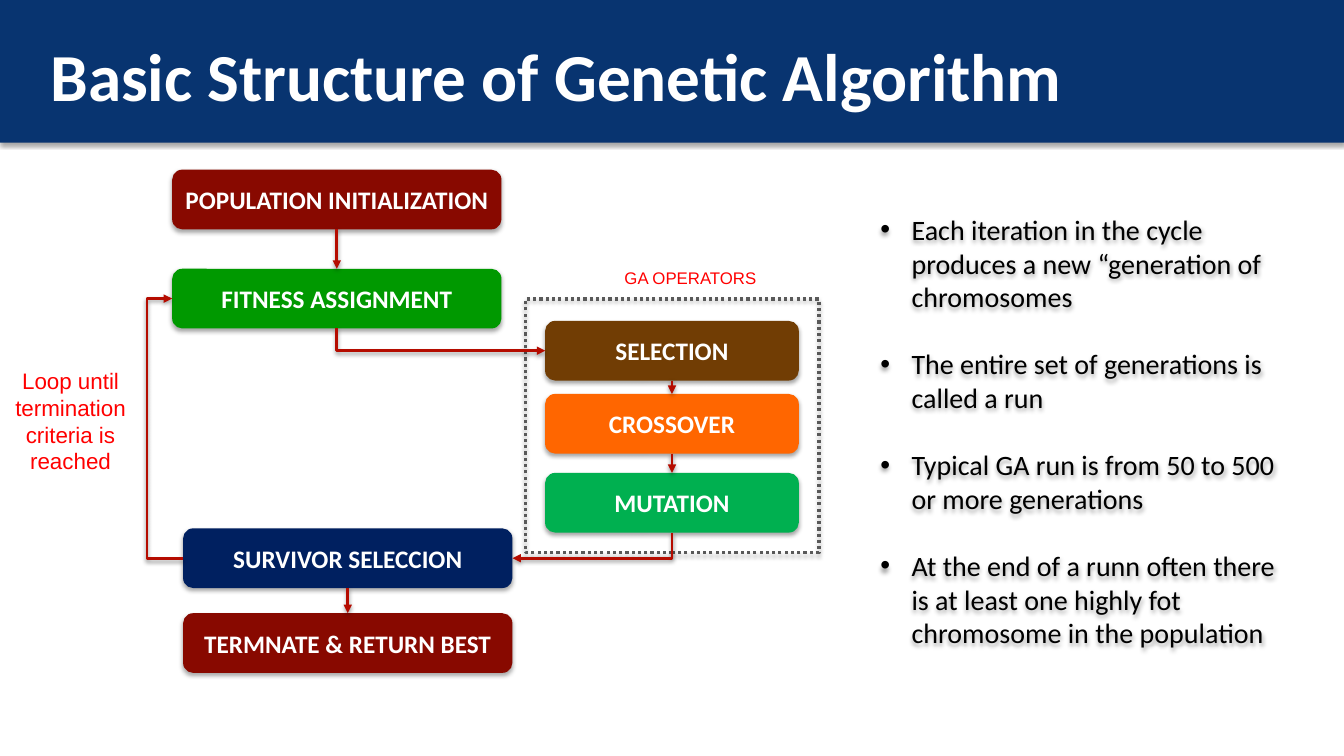
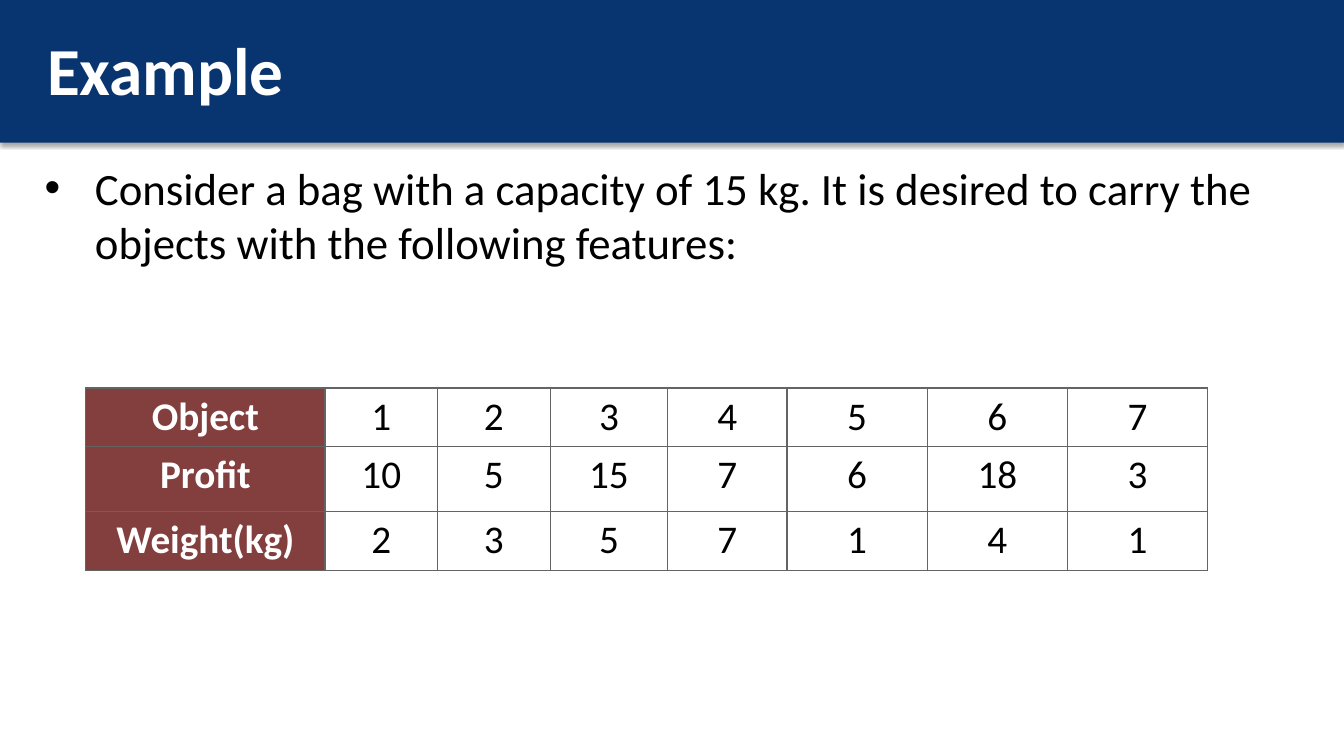
from dataclasses import dataclass
from typing import Optional

from lxml import etree
from pptx import Presentation
from pptx import util as u
from pptx.dml.color import RGBColor
from pptx.enum import dml, shapes, text
from pptx.oxml.ns import qn

COLS, ROWS = 160, 90
WIDE, HIGH = u.Inches(13.333), u.Inches(7.5)
HUES = {
    "band": "083470", "white": "FFFFFF", "black": "000000", "red": "FF0000",
    "wine": "880900", "green": "009900", "navy": "002060", "brown": "713D04",
    "orange": "FF6600", "mint": "00B050", "dots": "595959", "arrow": "B50C00",
    "head": "833E3E", "grid": "646464",
}
MID, LEFT = text.PP_ALIGN.CENTER, text.PP_ALIGN.LEFT


@dataclass(frozen=True)
class Box:
    x: float
    y: float
    w: float
    h: float

    def area(self) -> tuple:
        return across(self.x), down(self.y), across(self.w), down(self.h)

    def side(self, name: str) -> tuple:
        cx, cy = self.x + self.w / 2, self.y + self.h / 2
        return {"top": (cx, self.y), "bottom": (cx, self.y + self.h),
                "left": (self.x, cy), "right": (self.x + self.w, cy)}[name]


@dataclass(frozen=True)
class Node:
    label: str
    hue: str
    box: Box


@dataclass(frozen=True)
class Link:
    start: str
    out: str
    end: str
    into: str
    lane: Optional[float] = None


@dataclass(frozen=True)
class Style:
    size: float
    hue: str = "black"
    bold: bool = False
    font: str = "Calibri"
    align: object = LEFT


TITLE = Style(48, "white", True)
NODE = Style(18, "white", True, align=MID)
HEAD = Style(28, "white", True, align=MID)
CELL = Style(28, align=MID)

BIG, SMALL, TALL = 39.2, 30.2, 7.1
NODES = {
    "init": Node("POPULATION INITIALIZATION", "wine", Box(20.5, 20.2, BIG, TALL)),
    "fit": Node("FITNESS ASSIGNMENT", "green", Box(20.5, 32, BIG, TALL)),
    "done": Node("TERMNATE & RETURN BEST", "wine", Box(21.8, 73, BIG, TALL)),
    "keep": Node("SURVIVOR SELECCION", "navy", Box(21.8, 62.9, BIG, TALL)),
    "pick": Node("SELECTION", "brown", Box(64.9, 38.2, SMALL, TALL)),
    "cross": Node("CROSSOVER", "orange", Box(64.9, 46.9, SMALL, TALL)),
    "mute": Node("MUTATION", "mint", Box(64.9, 56.3, SMALL, TALL)),
}
LINKS = [
    Link("init", "bottom", "fit", "top"),
    Link("fit", "bottom", "pick", "left"),
    Link("pick", "bottom", "cross", "top"),
    Link("cross", "bottom", "mute", "top"),
    Link("mute", "bottom", "keep", "right"),
    Link("keep", "bottom", "done", "top"),
    Link("keep", "left", "fit", "left", 17.5),
]
POINTS = [
    "Each iteration in the cycle produces a new “generation of chromosomes",
    "The entire set of generations is called a run",
    "Typical GA run is from 50 to 500 or more generations",
    "At the end of a runn often there is at least one highly fot chromosome in the population",
]
TASK = ("Consider a bag with a capacity of 15 kg. It is desired to carry the "
        "objects with the following features:")
TABLE = [
    ("Object", 1, 2, 3, 4, 5, 6, 7),
    ("Profit", 10, 5, 15, 7, 6, 18, 3),
    ("Weight(kg)", 2, 3, 5, 7, 1, 4, 1),
]
SPANS = [28.5, 13.4, 13.4, 14, 14.2, 16.7, 16.7, 16.7]
DEPTHS = [6.8, 7.8, 7]


def across(n: float) -> int:
    return round(WIDE * n / COLS)


def down(n: float) -> int:
    return round(HIGH * n / ROWS)


def paint(hue: str) -> RGBColor:
    return RGBColor.from_string(HUES[hue])


def add(node, tag: str, **attrs):
    return etree.SubElement(node, qn(tag), {k: str(v) for k, v in attrs.items()})


def shade(props, alpha: int = 35, dist: float = 1.8) -> None:
    glow = props.find(qn("a:effectLst"))
    if glow is None:
        glow = add(props, "a:effectLst")
    cast = add(glow, "a:outerShdw", blurRad=u.Pt(3.1), dist=u.Pt(dist),
               dir=5400000, algn="ctr", rotWithShape=0)
    add(add(cast, "a:srgbClr", val=HUES["black"]), "a:alpha", val=alpha * 1000)


def write(para, words: str, style: Style) -> None:
    para.alignment = style.align
    run = para.add_run()
    run.text = words
    run.font.name = style.font
    run.font.size = u.Pt(style.size)
    run.font.bold = style.bold
    run.font.color.rgb = paint(style.hue)


def place(shape, box: Box) -> None:
    shape.left, shape.top, shape.width, shape.height = box.area()


def block(slide, kind, box: Box, hue: Optional[str] = None):
    shape = slide.shapes.add_shape(kind, *box.area())
    if hue:
        shape.fill.solid()
        shape.fill.fore_color.rgb = paint(hue)
    else:
        shape.fill.background()
    shape.line.fill.background()
    shape.shadow.inherit = False
    shade(shape._element.spPr)
    return shape


def label(slide, box: Box, words: str, size: float) -> None:
    frame = slide.shapes.add_textbox(*box.area()).text_frame
    frame.word_wrap = True
    write(frame.paragraphs[0], words, Style(size, "red", font="Arial", align=MID))


def begin(deck, title: str, box: Box):
    slide = deck.slides.add_slide(deck.slide_layouts[1])
    band = block(slide, shapes.MSO_SHAPE.RECTANGLE, Box(0, 0, COLS, 17), "band")
    slide.shapes._spTree.insert(2, band._element)
    head = slide.shapes.title
    place(head, box)
    head.text_frame.auto_size = text.MSO_AUTO_SIZE.NONE
    head.text_frame.vertical_anchor = text.MSO_ANCHOR.MIDDLE
    write(head.text_frame.paragraphs[0], title, TITLE)
    return slide


def listing(slide, box: Box, items: list, size: float, indent: float, gap: float = 0):
    body = slide.placeholders[1]
    place(body, box)
    frame = body.text_frame
    frame.auto_size = text.MSO_AUTO_SIZE.NONE
    for i, item in enumerate(items):
        para = frame.paragraphs[0] if i == 0 else frame.add_paragraph()
        write(para, item, Style(size))
        para.space_before = u.Pt(gap if i else 0)
        props = para._p.get_or_add_pPr()
        props.set("marL", str(u.Inches(indent)))
        props.set("indent", str(-u.Inches(indent)))
    return body


def draw(slide, node: Node) -> None:
    shape = block(slide, shapes.MSO_SHAPE.ROUNDED_RECTANGLE, node.box, node.hue)
    frame = shape.text_frame
    frame.word_wrap = True
    frame.margin_left = frame.margin_right = u.Inches(0.05)
    frame.vertical_anchor = text.MSO_ANCHOR.MIDDLE
    write(frame.paragraphs[0], node.label, NODE)


def join(slide, link: Link) -> None:
    x1, y1 = NODES[link.start].box.side(link.out)
    x2, y2 = NODES[link.end].box.side(link.into)
    x1, x2, y1, y2 = across(x1), across(x2), down(y1), down(y2)
    kind, turn, shape, bend = shapes.MSO_CONNECTOR.STRAIGHT, 0, None, None
    if link.lane is not None:
        kind, turn, shape = shapes.MSO_CONNECTOR.ELBOW, 180, "bentConnector3"
        bend = round((x1 - across(link.lane)) / (x1 - x2) * 100000)
        x1, y1, x2, y2 = x2, y2, x1, y1
    elif link.into in ("left", "right"):
        kind, shape = shapes.MSO_CONNECTOR.ELBOW, "bentConnector2"
        turn = 270 if x2 > x1 else 90
        cx, cy, w, h = (x1 + x2) // 2, (y1 + y2) // 2, y2 - y1, abs(x2 - x1)
        flip = 1 if x2 > x1 else -1
        x1, x2 = cx + flip * w // 2, cx - flip * w // 2
        y1, y2 = cy - h // 2, cy + h // 2
    line = slide.shapes.add_connector(kind, x1, y1, x2, y2)
    line.line.color.rgb = paint("arrow")
    line.line.width = u.Pt(2)
    props = line._element.spPr
    add(props.find(qn("a:ln")), "a:tailEnd", type="triangle")
    if shape:
        props.find(qn("a:xfrm")).set("rot", str(turn * 60000))
        geom = props.find(qn("a:prstGeom"))
        geom.set("prst", shape)
        if bend is not None:
            add(geom.find(qn("a:avLst")), "a:gd", name="adj1", fmla=f"val {bend}")
    shade(props, 38, 1.6)


def edge(cell) -> None:
    props = cell._tc.get_or_add_tcPr()
    for i, tag in enumerate(("a:lnL", "a:lnR", "a:lnT", "a:lnB")):
        line = etree.Element(qn(tag), w=str(u.Pt(1)))
        add(add(line, "a:solidFill"), "a:srgbClr", val=HUES["grid"])
        props.insert(i, line)


def chart(slide, x: float, y: float) -> None:
    box = Box(x, y, sum(SPANS), sum(DEPTHS))
    grid = slide.shapes.add_table(len(TABLE), len(SPANS), *box.area()).table
    grid.first_row = grid.horz_banding = False
    for col, span in zip(grid.columns, SPANS):
        col.width = across(span)
    for r, row in enumerate(TABLE):
        grid.rows[r].height = down(DEPTHS[r])
        for c, value in enumerate(row):
            cell = grid.cell(r, c)
            cell.fill.solid()
            cell.fill.fore_color.rgb = paint("white" if c else "head")
            edge(cell)
            write(cell.text_frame.paragraphs[0], str(value), CELL if c else HEAD)


def cycle(deck) -> None:
    slide = begin(deck, "Basic Structure of Genetic Algorithm", Box(4.8, 1.4, 131.5, 15))
    for node in NODES.values():
        draw(slide, node)
    frame = block(slide, shapes.MSO_SHAPE.RECTANGLE, Box(62.6, 35.6, 34.9, 30.2))
    frame.line.color.rgb = paint("dots")
    frame.line.width = u.Pt(2.25)
    frame.line.dash_style = dml.MSO_LINE.ROUND_DOT
    label(slide, Box(62.6, 31.3, BIG, 3.6), "GA OPERATORS", 12)
    for link in LINKS:
        join(slide, link)
    label(slide, Box(0, 43.1, 16.8, 14.2), "Loop until termination criteria is reached", 16)
    body = listing(slide, Box(103.6, 19.2, 51.4, 64.2), POINTS, 20, 0.31, 24)
    body.text_frame.vertical_anchor = text.MSO_ANCHOR.MIDDLE
    shade(body._element.spPr)


def sample(deck) -> None:
    slide = begin(deck, "Example", Box(4.4, 0.7, 131.5, 15))
    listing(slide, Box(4.1, 18.5, 152.9, 70), [TASK], 32, 0.5)
    chart(slide, 10.2, 46.2)


def main() -> None:
    deck = Presentation()
    deck.slide_width, deck.slide_height = WIDE, HIGH
    cycle(deck)
    sample(deck)
    deck.save("out.pptx")


if __name__ == "__main__":
    main()
